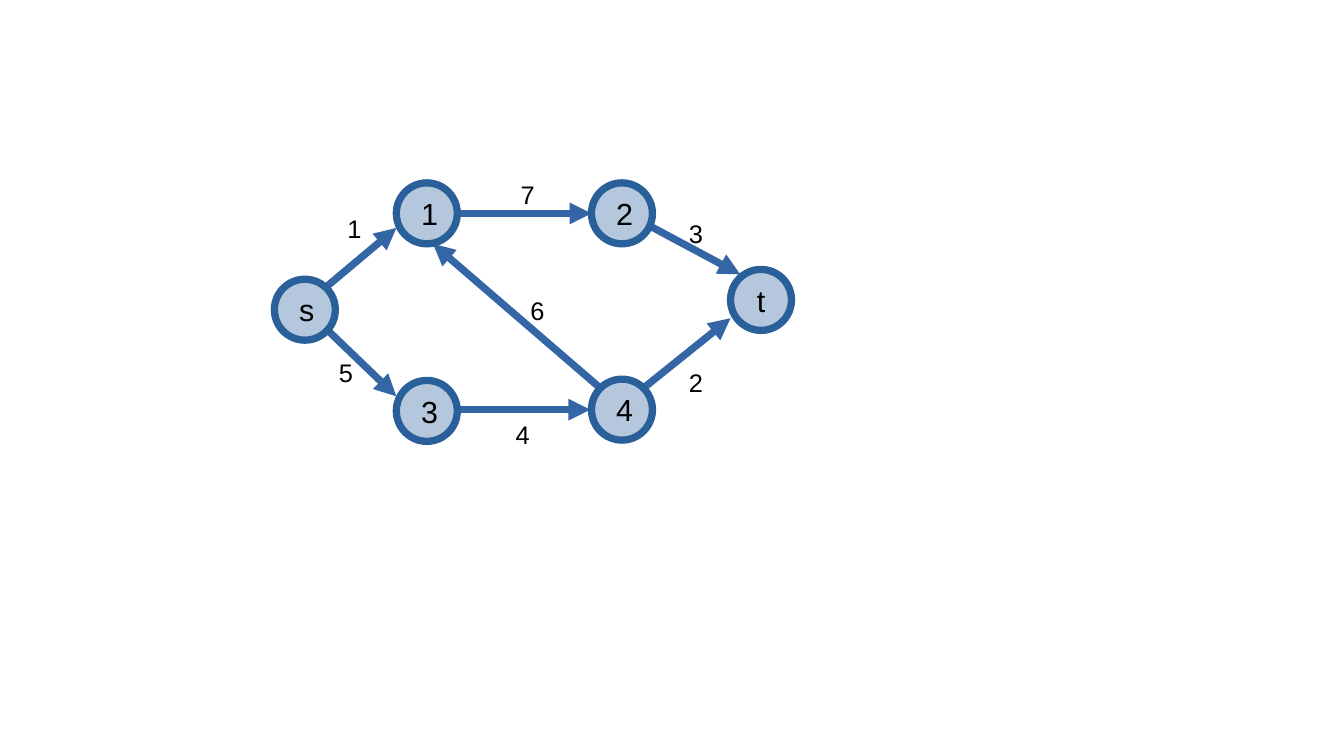
"""Build a slide with a weighted directed graph from s to t."""
from lxml.etree import SubElement
from pptx import Presentation
from pptx.dml.color import RGBColor
from pptx.enum.shapes import MSO_CONNECTOR, MSO_SHAPE
from pptx.enum.text import MSO_ANCHOR, MSO_AUTO_SIZE, PP_ALIGN
from pptx.oxml.ns import qn
from pptx.util import Inches, Pt

NODES = {
    "s": (2.25, 2.29),
    "1": (3.25, 1.5),
    "2": (4.85, 1.5),
    "3": (3.25, 3.12),
    "4": (4.85, 3.11),
    "t": (5.99, 2.21),
}
EDGES = [
    {"weight": "2", "start": (5.18, 3.26), "end": (5.99, 2.61), "label": (5.55, 2.96)},
    {"weight": "6", "start": (5, 3.25), "end": (3.55, 2), "label": (4.25, 2.37)},
    {"weight": "3", "start": (5.21, 1.79), "end": (6.07, 2.25), "label": (5.55, 1.74)},
    {"weight": "4", "start": (3.49, 3.36), "end": (4.84, 3.36), "label": (4.13, 3.39)},
    {"weight": "7", "start": (3.5, 1.75), "end": (4.85, 1.75), "label": (4.17, 1.42)},
    {"weight": "5", "start": (2.49, 2.52), "end": (3.25, 3.25), "label": (2.68, 2.88)},
    {"weight": "1", "start": (2.5, 2.5), "end": (3.25, 1.87), "label": (2.75, 1.7)},
]
NODE_SIZE = 0.5
LABEL_SIZE = (0.31, 0.33)
LINE_WIDTH = Pt(4.31)
FONT = "Arial"
EDGE_BLUE = RGBColor(0x34, 0x65, 0xA4)
NODE_BORDER = RGBColor(0x2A, 0x60, 0x99)
NODE_FILL = RGBColor(0xB4, 0xC7, 0xDC)
BLACK = RGBColor(0, 0, 0)


def write_text(shape, text, *, size, align, anchor, margins, wrap):
    frame = shape.text_frame
    frame.word_wrap = wrap
    frame.vertical_anchor = anchor
    frame.margin_left = frame.margin_right = Inches(margins[0])
    frame.margin_top = frame.margin_bottom = Inches(margins[1])
    paragraph = frame.paragraphs[0]
    paragraph.alignment = align
    run = paragraph.add_run()
    run.text = text
    run.font.name = FONT
    run.font.size = Pt(size)
    run.font.color.rgb = BLACK


def add_arrow(slide, start, end):
    points = [Inches(value) for value in (*start, *end)]
    connector = slide.shapes.add_connector(MSO_CONNECTOR.STRAIGHT, *points)
    connector.line.color.rgb = EDGE_BLUE
    connector.line.width = LINE_WIDTH
    SubElement(connector.line._get_or_add_ln(), qn("a:tailEnd"), type="triangle")
    SubElement(connector._element.spPr, qn("a:effectLst"))


def add_node(slide, name, left, top):
    box = [Inches(value) for value in (left, top, NODE_SIZE, NODE_SIZE)]
    shape = slide.shapes.add_shape(MSO_SHAPE.OVAL, *box)
    shape.shadow.inherit = False
    shape.fill.solid()
    shape.fill.fore_color.rgb = NODE_FILL
    shape.line.color.rgb = NODE_BORDER
    shape.line.width = LINE_WIDTH
    write_text(shape, name, size=18, align=PP_ALIGN.CENTER,
               anchor=MSO_ANCHOR.MIDDLE, margins=(0.13, 0.08), wrap=True)


def add_weight(slide, weight, position):
    box = [Inches(value) for value in (*position, *LABEL_SIZE)]
    label = slide.shapes.add_textbox(*box)
    write_text(label, weight, size=15, align=PP_ALIGN.LEFT,
               anchor=MSO_ANCHOR.TOP, margins=(0.1, 0.05), wrap=False)
    label.text_frame.auto_size = MSO_AUTO_SIZE.SHAPE_TO_FIT_TEXT


def main():
    presentation = Presentation()
    presentation.slide_width = Inches(11.02)
    presentation.slide_height = Inches(6.2)
    slide = presentation.slides.add_slide(presentation.slide_layouts[6])
    for edge in EDGES:
        add_arrow(slide, edge["start"], edge["end"])
    for name, (left, top) in NODES.items():
        add_node(slide, name, left, top)
    for edge in EDGES:
        add_weight(slide, edge["weight"], edge["label"])
    presentation.save("out.pptx")


if __name__ == "__main__":
    main()
